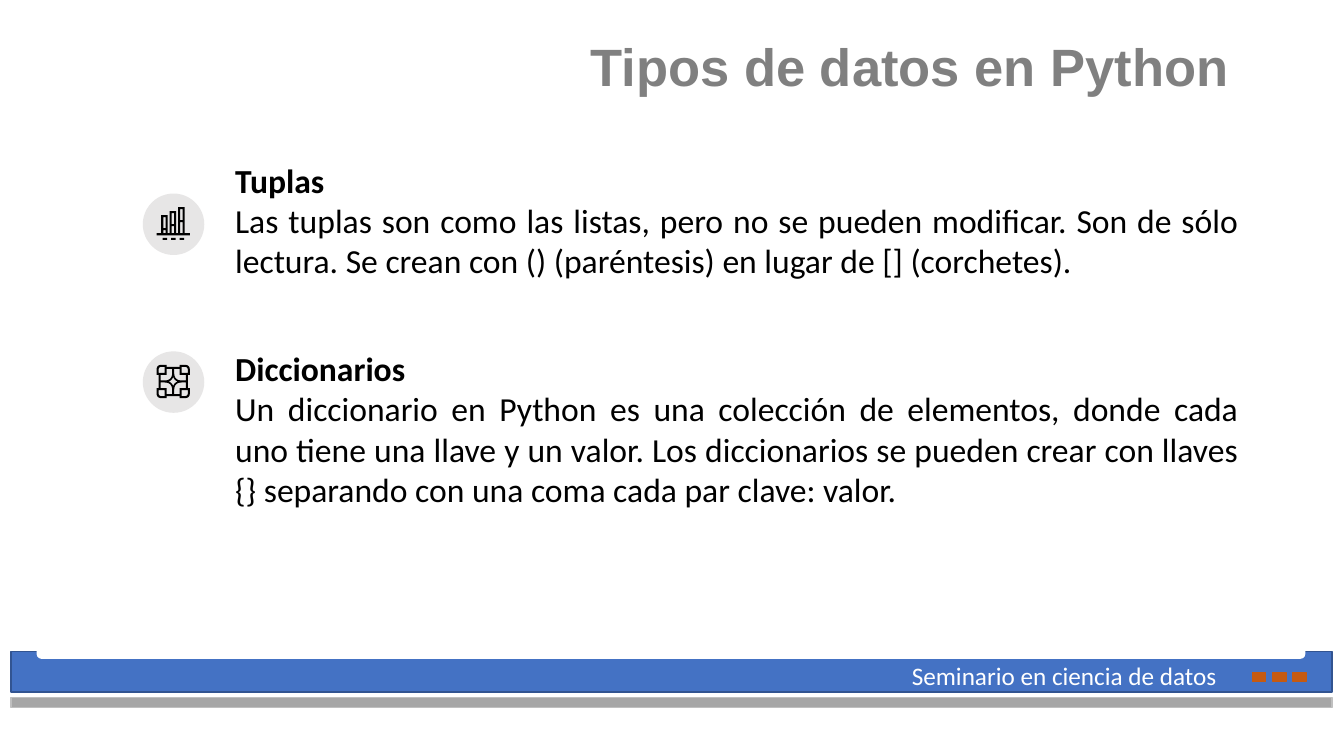
from pptx import Presentation
from pptx.dml.color import RGBColor
from pptx.enum.shapes import MSO_SHAPE
from pptx.enum.text import MSO_ANCHOR, MSO_AUTO_SIZE, PP_ALIGN
from pptx.util import Inches, Pt


def color(hex):
    return RGBColor.from_string(hex)


def box(left, top, right, foot):
    return [(left, top), (right, top), (right, foot), (left, foot)]


def bend(start, mid, end, steps=8):
    curve = []
    for i in range(steps + 1):
        t = i / steps
        curve.append(tuple((1 - t) ** 2 * a + 2 * t * (1 - t) * b + t * t * c
                           for a, b, c in zip(start, mid, end)))
    return curve


def flip(points, sx, sy):
    return [(x * sx, y * sy) for x, y in points]


class Deck:
    font = "Calibri"
    head = "Arial"
    cols, rows = 1333, 750

    def __init__(self):
        self.show = Presentation()
        self.show.slide_width = Inches(13.33)
        self.show.slide_height = Inches(7.5)
        self.slide = self.show.slides.add_slide(self.show.slide_layouts[5])
        self.col = self.show.slide_width / self.cols
        self.row = self.show.slide_height / self.rows

    def place(self, left, top, wide, high):
        return (round(left * self.col), round(top * self.row),
                round(wide * self.col), round(high * self.row))

    def paint(self, shape, fill, line=None):
        shape.shadow.inherit = False
        shape.fill.solid()
        shape.fill.fore_color.rgb = color(fill)
        if line:
            shape.line.color.rgb = color(line)
            shape.line.width = Pt(1)
        else:
            shape.line.fill.background()

    def shape(self, kind, area, fill, line=None):
        item = self.slide.shapes.add_shape(kind, *self.place(*area))
        self.paint(item, fill, line)

    def icon(self, left, top, loops, fill="000000"):
        def spot(x, y):
            return (left + x) * self.col, (top + y) * self.row

        pen = self.slide.shapes.build_freeform(*spot(*loops[0][0]), scale=1.0)
        for i, loop in enumerate(loops):
            if i:
                pen.move_to(*spot(*loop[0]))
            pen.add_line_segments([spot(*p) for p in loop[1:]], close=True)
        self.paint(pen.convert_to_shape(), fill)

    def run(self, para, text, size, ink, bold=False, font=None):
        run = para.add_run()
        run.text = text
        run.font.name = font or self.font
        run.font.size = Pt(size)
        run.font.bold = bold
        run.font.color.rgb = color(ink)

    def title(self, area, text):
        item = self.slide.shapes.title
        item.left, item.top, item.width, item.height = self.place(*area)
        frame = item.text_frame
        frame.auto_size = MSO_AUTO_SIZE.NONE
        frame.vertical_anchor = MSO_ANCHOR.BOTTOM
        frame.margin_right = round(21.5 * self.col)
        para = frame.paragraphs[0]
        para.alignment = PP_ALIGN.RIGHT
        para.line_spacing = 0.7
        self.run(para, text, 37.5, "808080", True, self.head)

    def frame(self, area, inset=5):
        frame = self.slide.shapes.add_textbox(*self.place(*area)).text_frame
        frame.word_wrap = True
        frame.margin_top = frame.margin_bottom = round(inset * self.row)
        return frame

    def label(self, area, text):
        self.run(self.frame(area).paragraphs[0], text, 18, "FFFFFF")

    def topic(self, area, name, text):
        frame = self.frame(area, 10)
        self.run(frame.paragraphs[0], name, 24, "000000", True)
        para = frame.add_paragraph()
        para.alignment = PP_ALIGN.JUSTIFY
        self.run(para, text, 24, "000000")


def chart():
    loops = [box(0, 26, 33, 28)]
    for i in range(3):
        left, top = 4.6 + 8.4 * i, 8 - 4 * i
        loops += [box(left, top, left + 6.4, 26),
                  box(left + 2, top + 2, left + 4.4, top + 13),
                  box(left + 2, top + 15, left + 4.4, 26)]
    return loops


def knot():
    edge = [(-6.5, -14.5), (-6.5, -16.5)]
    edge += bend((-11.5, -16.5), (-16.5, -16.5), (-16.5, -11.5))
    edge += [(-16.5, -6.5), (-14.5, -6.5)]
    tip = [(-8.5, -14.5), (-8.5, -8.5), (-14.5, -8.5)]
    tip += bend((-14.5, -11.5), (-14.5, -14.5), (-11.5, -14.5))
    arm = bend((-1, -8.5), (-1, -1), (-8.5, -1))
    arm += [(-12.5, -1), (-12.5, -6.5), (-6.5, -6.5), (-6.5, -12.5), (-1, -12.5)]
    star = bend((0, -4.5), (-1.2, -1.2), (-4.5, 0))
    rim, core, holes = [], [], []
    for sx, sy in [(1, 1), (1, -1), (-1, -1), (-1, 1)]:
        way = sx * sy
        rim += flip(edge, sx, sy)[::way]
        core += flip(star, sx, sy)[::way]
        holes += [flip(tip, sx, sy), flip(arm, sx, sy)]
    return [rim, core] + holes


def main():
    deck = Deck()
    deck.title((141, 40, 1100, 60), "Tipos de datos en Python")
    rect = MSO_SHAPE.RECTANGLE
    deck.shape(rect, (11, 646.4, 1310, 40), "4472C4", "325491")
    deck.shape(MSO_SHAPE.ROUNDED_RECTANGLE, (37, 627, 1257, 26), "FFFFFF", "FFFFFF")
    deck.shape(rect, (11, 692, 1310, 10), "A6A6A6", "BFBFBF")
    for i in range(3):
        deck.shape(rect, (1242.5 + 20 * i, 667, 13, 9), "C55A11", "C55A11")
    deck.label((894.5, 650, 345, 40), "Seminario en ciencia de datos")
    for top in (192, 348.6):
        deck.shape(MSO_SHAPE.OVAL, (141.6, top, 61, 61), "E7E6E6")
    deck.icon(155.4, 205.4, chart())
    for i in range(3):
        deck.shape(rect, (161.4 + 8.4 * i, 236, 4.4, 2), "000000")
    deck.icon(171.8, 378.5, knot())
    deck.topic((223.4, 148.4, 1015, 187), "Tuplas",
               "Las tuplas son como las listas, pero no se pueden modificar. "
               "Son de sólo lectura. Se crean con () (paréntesis) en lugar de "
               "[] (corchetes).")
    deck.topic((223.4, 335.2, 1015, 203), "Diccionarios",
               "Un diccionario en Python es una colección de elementos, donde "
               "cada uno tiene una llave y un valor. Los diccionarios se pueden "
               "crear con llaves {} separando con una coma cada par clave: valor.")
    deck.show.save("out.pptx")


if __name__ == "__main__":
    main()
